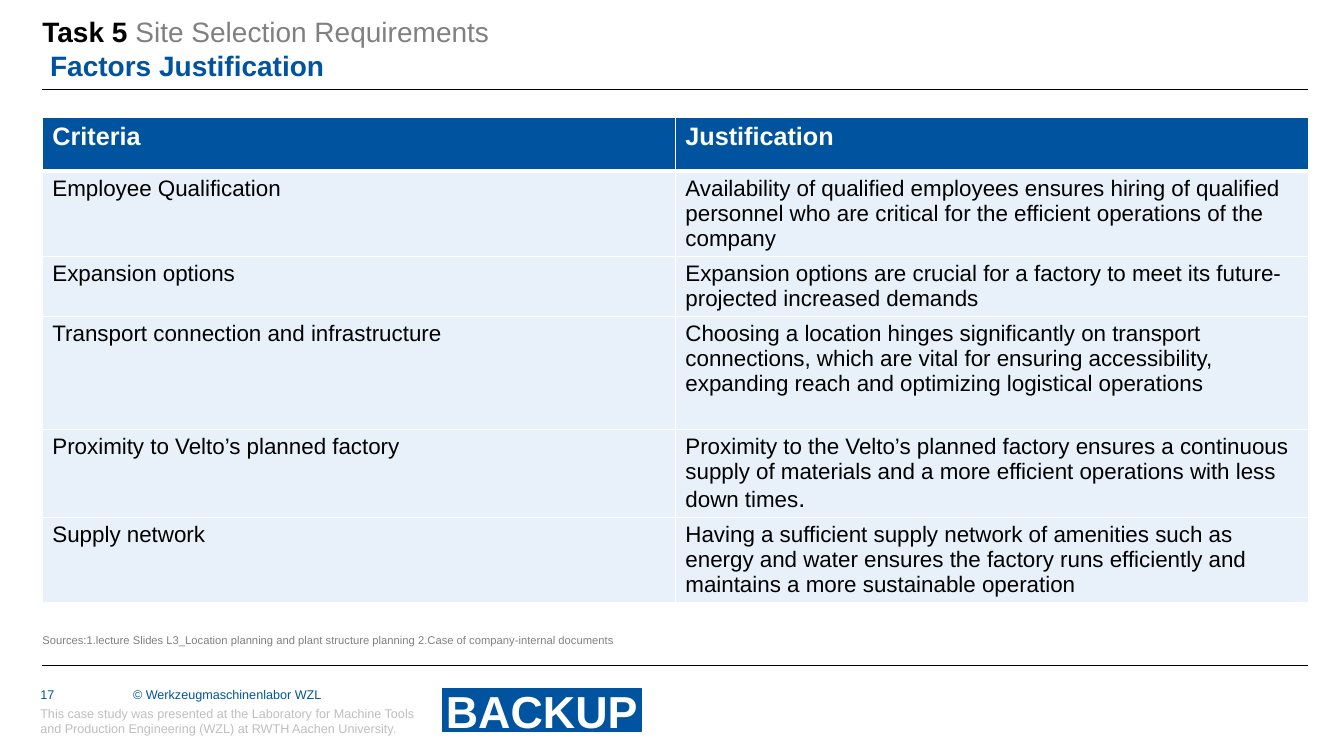
"""Build the slide that justifies the site selection factors."""
from dataclasses import dataclass

from lxml import etree
from pptx import Presentation
from pptx.dml.color import RGBColor
from pptx.enum.shapes import MSO_CONNECTOR, MSO_SHAPE
from pptx.enum.text import MSO_ANCHOR, MSO_AUTO_SIZE, PP_ALIGN
from pptx.oxml.ns import qn
from pptx.slide import Slide
from pptx.table import _Cell
from pptx.text.text import Font, TextFrame
from pptx.util import Pt

BLUE = RGBColor(0x00, 0x54, 0x9F)
PALE = RGBColor(0xE8, 0xF1, 0xFA)
GREY = RGBColor(0x80, 0x80, 0x80)
LIGHT = RGBColor(0xBF, 0xBF, 0xBF)
BLACK = RGBColor(0x00, 0x00, 0x00)
WHITE = RGBColor(0xFF, 0xFF, 0xFF)
TOP, MIDDLE, BOTTOM = MSO_ANCHOR.TOP, MSO_ANCHOR.MIDDLE, MSO_ANCHOR.BOTTOM
LEFT, CENTER = PP_ALIGN.LEFT, PP_ALIGN.CENTER
FIXED = MSO_AUTO_SIZE.NONE
RECT = MSO_SHAPE.RECTANGLE
STRAIGHT = MSO_CONNECTOR.STRAIGHT
EDGE, WIDTH = 30.24, 904.32


@dataclass
class Label:
    text: str
    left: float
    top: float
    width: float
    height: float
    size: float
    color: RGBColor
    anchor: MSO_ANCHOR = TOP
    wrap: bool = True


@dataclass
class Row:
    factor: str
    reason: str
    height: float
    tail: str = ""


LABELS = [
    Label("© Werkzeugmaschinenlabor WZL", 95.04, 490.32, 377.28, 13.68, 9, BLUE, wrap=False),
    Label("17", 28.8, 490.32, 57.6, 30.96, 9, BLUE),
    Label(
        "This case study was presented at the Laboratory for Machine Tools "
        "and Production Engineering (WZL) at RWTH Aachen University.",
        28.8, 504.72, 277.2, 20.16, 9, LIGHT, MIDDLE,
    ),
    Label(
        "Sources:1.lecture Slides L3_Location planning and plant structure planning "
        "2.Case of company-internal documents",
        EDGE, 451.44, WIDTH, 11.5, 8, GREY, MIDDLE,
    ),
]
RULES = [64.08, 475.6]
ROWS = [
    Row("Criteria", "Justification", 38.5),
    Row(
        "Employee Qualification",
        "Availability of qualified employees ensures hiring of qualified personnel "
        "who are critical for the efficient operations of the company",
        61,
    ),
    Row(
        "Expansion options",
        "Expansion options are crucial for a factory to meet its "
        "future-projected increased demands",
        43,
    ),
    Row(
        "Transport connection and infrastructure",
        "Choosing a location hinges significantly on transport connections, which are "
        "vital for ensuring accessibility, expanding reach and optimizing logistical operations",
        80.5,
    ),
    Row(
        "Proximity to Velto’s planned factory",
        "Proximity to the Velto’s planned factory ensures a continuous supply of "
        "materials and a more efficient operations with less down times",
        63,
        ".",
    ),
    Row(
        "Supply network",
        "Having a sufficient supply network of amenities such as energy and water "
        "ensures the factory runs efficiently and maintains a more sustainable operation",
        61,
    ),
]


def style(font: Font, size: float, color: RGBColor, bold: bool = False) -> None:
    font.name = "Arial"
    font.size = Pt(size)
    font.bold = bold
    font.color.rgb = color


def fit(frame: TextFrame, anchor: MSO_ANCHOR, wrap: bool = True) -> None:
    frame.margin_left = frame.margin_right = 0
    frame.margin_top = frame.margin_bottom = 0
    frame.auto_size = FIXED
    frame.vertical_anchor = anchor
    frame.word_wrap = wrap


def add_title(slide: Slide) -> None:
    title = slide.shapes.title
    title.left, title.top = Pt(EDGE), Pt(15.84)
    title.width, title.height = Pt(WIDTH), Pt(42.48)
    fit(title.text_frame, BOTTOM)
    para = title.text_frame.paragraphs[0]
    para.alignment = LEFT
    for text, color, bold in (
        ("Task 5 ", BLACK, True),
        ("Site Selection Requirements", GREY, False),
    ):
        run = para.add_run()
        run.text = text
        style(run.font, 20, color, bold)
    para.add_line_break()
    run = para.add_run()
    run.text = " Factors Justification"
    style(run.font, 20, BLUE, True)


def add_label(slide: Slide, label: Label) -> None:
    box = slide.shapes.add_textbox(
        Pt(label.left), Pt(label.top), Pt(label.width), Pt(label.height)
    )
    fit(box.text_frame, label.anchor, label.wrap)
    para = box.text_frame.paragraphs[0]
    para.text = label.text
    style(para.font, label.size, label.color)


def add_rule(slide: Slide, top: float) -> None:
    rule = slide.shapes.add_connector(STRAIGHT, Pt(EDGE), Pt(top), Pt(EDGE + WIDTH), Pt(top))
    rule.line.color.rgb = BLACK
    rule.line.width = Pt(0.5)
    etree.SubElement(rule._element.spPr, qn("a:effectLst"))


def add_badge(slide: Slide) -> None:
    badge = slide.shapes.add_shape(RECT, Pt(316.08), Pt(491.76), Pt(141.84), Pt(30.96))
    badge.shadow.inherit = False
    badge.fill.solid()
    badge.fill.fore_color.rgb = BLUE
    badge.line.color.rgb = BLUE
    badge.line.width = Pt(1)
    fit(badge.text_frame, MIDDLE, False)
    para = badge.text_frame.paragraphs[0]
    para.text = "BACKUP"
    para.alignment = CENTER
    style(para.font, 32, WHITE, True)


def set_edges(cell: _Cell, top: float, bottom: float) -> None:
    props = cell._tc.get_or_add_tcPr()
    for side, width in (("L", 1), ("R", 1), ("T", top), ("B", bottom)):
        line = etree.SubElement(props, qn(f"a:ln{side}"), w=str(Pt(width)))
        fill = etree.SubElement(line, qn("a:solidFill"))
        etree.SubElement(fill, qn("a:srgbClr"), val=str(WHITE))


def fill_cell(cell: _Cell, text: str, tail: str, index: int) -> None:
    head = index == 0
    set_edges(cell, 3 if index == 1 else 1, 3 if head else 1)
    cell.fill.solid()
    cell.fill.fore_color.rgb = BLUE if head else PALE
    para = cell.text_frame.paragraphs[0]
    para.text = text
    style(para.font, 18 if head else 16, WHITE if head else BLACK, head)
    if tail:
        run = para.add_run()
        run.text = tail
        run.font.size = Pt(18)


def add_grid(slide: Slide) -> None:
    height = sum(row.height for row in ROWS)
    frame = slide.shapes.add_table(len(ROWS), 2, Pt(EDGE), Pt(83.8), Pt(WIDTH), Pt(height))
    table = frame.table
    for index, row in enumerate(ROWS):
        table.rows[index].height = Pt(row.height)
        fill_cell(table.cell(index, 0), row.factor, "", index)
        fill_cell(table.cell(index, 1), row.reason, row.tail, index)


def main() -> None:
    deck = Presentation()
    deck.slide_width, deck.slide_height = Pt(960), Pt(540)
    slide = deck.slides.add_slide(deck.slide_layouts.get_by_name("Title Only"))
    add_title(slide)
    for label in LABELS:
        add_label(slide, label)
    for top in RULES:
        add_rule(slide, top)
    add_badge(slide)
    add_grid(slide)
    deck.save("out.pptx")


if __name__ == "__main__":
    main()
